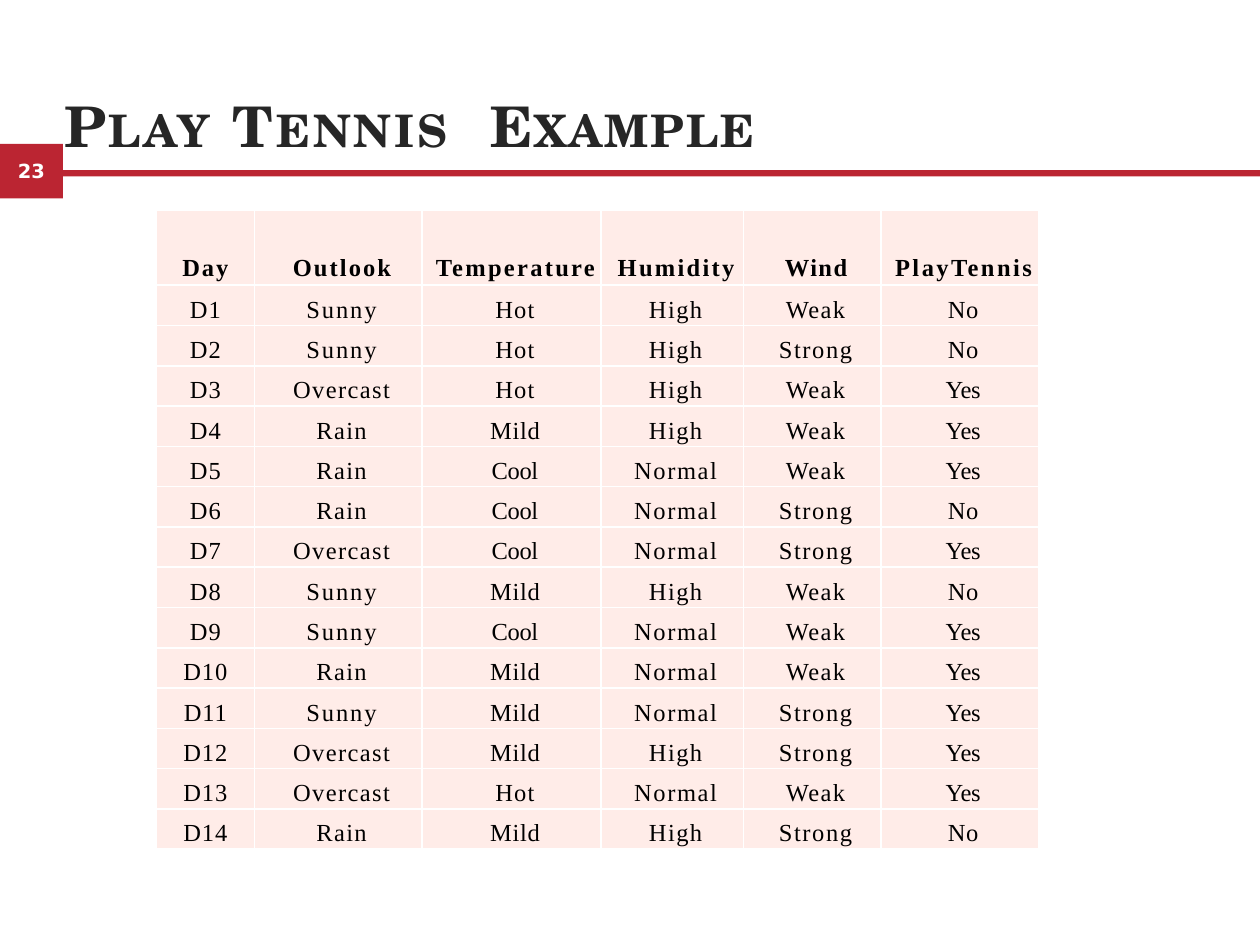
import pptx
import pptx.dml.color
import pptx.enum.shapes
import pptx.enum.text
import pptx.oxml
import pptx.oxml.ns
import pptx.util
from dataclasses import dataclass

Cm = pptx.util.Cm
Pt = pptx.util.Pt
ALIGN = pptx.enum.text.PP_ALIGN
ANCHOR = pptx.enum.text.MSO_ANCHOR


@dataclass(frozen=True)
class Theme:
    accent: str = "BB2532"
    heading: str = "262626"
    body: str = "000000"
    light: str = "FFFFFF"
    cell: str = "FFECE8"
    title_font: str = "TeX Gyre Schola"
    table_font: str = "Times New Roman"
    number_font: str = "DejaVu Sans"
    title_size: float = 32
    table_size: float = 14
    number_size: float = 11.1
    line_height: float = 16.2


# Title pieces with their letter spacing in points
TITLE = [("Play ", 0.8), ("Tennis ", 1.9), ("Example", 1.1)]

# Table content
HEADER = ["Day", "Outlook", "Temperature", "Humidity", "Wind", "PlayTennis"]
OBSERVATIONS = """
Sunny Hot High Weak No
Sunny Hot High Strong No
Overcast Hot High Weak Yes
Rain Mild High Weak Yes
Rain Cool Normal Weak Yes
Rain Cool Normal Strong No
Overcast Cool Normal Strong Yes
Sunny Mild High Weak No
Sunny Cool Normal Weak Yes
Rain Mild Normal Weak Yes
Sunny Mild Normal Strong Yes
Overcast Mild High Strong Yes
Overcast Hot Normal Weak Yes
Rain Mild High Strong No
"""
DAYS = [[f"D{day}", *line.split()]
        for day, line in enumerate(OBSERVATIONS.strip().splitlines(), start=1)]
COLUMN_WIDTHS = [1.98, 3.38, 3.61, 2.87, 2.77, 3.18]

# Letter spacing in points for each word; day labels use the default
DAY_SPACING = 0.5
WORD_SPACING = {
    "Day": 1.1, "Outlook": 1.2, "Temperature": 1.3, "Humidity": 1.3,
    "Wind": 0.8, "PlayTennis": 1.4, "Sunny": 1.1, "Overcast": 0.8,
    "Rain": 0.8, "Hot": 0.7, "Mild": 0.4, "Cool": -0.2, "High": 0.8,
    "Normal": 0.9, "Weak": 0.8, "Strong": 0.9, "Yes": -0.2, "No": 0.3,
}


class SlideBuilder:
    def __init__(self, slide, theme):
        self.slide = slide
        self.theme = theme

    def format_run(self, run, font, size, color, bold=True, spacing=0):
        run.font.name = font
        run.font.size = Pt(size)
        run.font.bold = bold
        run.font.color.rgb = pptx.dml.color.RGBColor.from_string(color)
        if spacing:
            run.font._element.set("spc", str(round(spacing * 100)))

    def set_margins(self, target, top=0):
        target.margin_left = target.margin_right = target.margin_bottom = 0
        target.margin_top = Cm(top)

    def indent(self, paragraph, left):
        properties = paragraph._p.get_or_add_pPr()
        properties.set("marL", str(Cm(left)))
        properties.set("indent", "0")

    def title(self, pieces, left, top, width, height):
        shape = self.slide.shapes.title
        shape.left, shape.top = Cm(left), Cm(top)
        shape.width, shape.height = Cm(width), Cm(height)
        frame = shape.text_frame
        frame.auto_size = pptx.enum.text.MSO_AUTO_SIZE.SHAPE_TO_FIT_TEXT
        frame.vertical_anchor = ANCHOR.BOTTOM
        self.set_margins(frame, 0.03)
        paragraph = frame.paragraphs[0]
        paragraph.alignment = ALIGN.LEFT
        paragraph.space_before = Pt(1)
        self.indent(paragraph, 0.03)
        for text, spacing in pieces:
            run = paragraph.add_run()
            run.text = text
            self.format_run(run, self.theme.title_font, self.theme.title_size,
                            self.theme.heading, spacing=spacing)
            run.font._element.set("cap", "small")

    def bar(self, left, top, width, height, text=""):
        shape = self.slide.shapes.add_shape(
            pptx.enum.shapes.MSO_SHAPE.RECTANGLE,
            Cm(left), Cm(top), Cm(width), Cm(height))
        shape.shadow.inherit = False
        shape.fill.solid()
        shape.fill.fore_color.rgb = pptx.dml.color.RGBColor.from_string(self.theme.accent)
        shape.line.fill.background()
        if text:
            frame = shape.text_frame
            frame.text = text
            frame.vertical_anchor = ANCHOR.MIDDLE
            self.set_margins(frame)
            paragraph = frame.paragraphs[0]
            paragraph.alignment = ALIGN.CENTER
            self.format_run(paragraph.runs[0], self.theme.number_font,
                            self.theme.number_size, self.theme.light)

    def border(self, cell):
        properties = cell._tc.get_or_add_tcPr()
        for side in ("lnL", "lnR", "lnT", "lnB"):
            properties.append(pptx.oxml.parse_xml(
                f'<a:{side} {pptx.oxml.ns.nsdecls("a")} w="{Pt(1)}"><a:solidFill>'
                f'<a:srgbClr val="{self.theme.light}"/></a:solidFill></a:{side}>'))

    def cell(self, cell, text, top_margin, left_indent, bold):
        cell.text = text
        self.set_margins(cell, top_margin)
        self.border(cell)
        cell.fill.solid()
        cell.fill.fore_color.rgb = pptx.dml.color.RGBColor.from_string(self.theme.cell)
        paragraph = cell.text_frame.paragraphs[0]
        paragraph.alignment = ALIGN.CENTER
        paragraph.line_spacing = Pt(self.theme.line_height)
        self.indent(paragraph, left_indent)
        self.format_run(paragraph.runs[0], self.theme.table_font,
                        self.theme.table_size, self.theme.body, bold,
                        WORD_SPACING.get(text, DAY_SPACING))

    def table(self, rows, widths, left, top, header_height, body_height):
        table = self.slide.shapes.add_table(
            len(rows), len(widths), Cm(left), Cm(top),
            Cm(sum(widths)), Cm(header_height + body_height)).table
        table.horz_banding = False
        for column, width in zip(table.columns, widths):
            column.width = Cm(width)
        for row_index, words in enumerate(rows):
            is_header = row_index == 0
            table.rows[row_index].height = (
                Cm(header_height) if is_header else Cm(body_height / (len(rows) - 1)))
            top_margin, indent = (0.87, 0.15) if is_header else (0.2, 0.13)
            for column_index, word in enumerate(words):
                self.cell(table.cell(row_index, column_index), word, top_margin,
                          indent if column_index else 0, is_header)


def main():
    presentation = pptx.Presentation()
    presentation.slide_width, presentation.slide_height = Cm(25.4), Cm(19.05)
    title_only = presentation.slide_layouts[5]
    builder = SlideBuilder(presentation.slides.add_slide(title_only), Theme())

    # Slide number and rule
    builder.bar(0, 2.9, 1.27, 1.1, "23")
    builder.bar(1.27, 3.43, 24.13, 0.13)

    # Title
    builder.title(TITLE, 1.27, 0.97, 22.86, 2.23)

    # Training examples
    builder.table([HEADER, *DAYS], COLUMN_WIDTHS, 3.15, 4.23, 1.52, 11.38)

    presentation.save("out.pptx")


if __name__ == "__main__":
    main()
